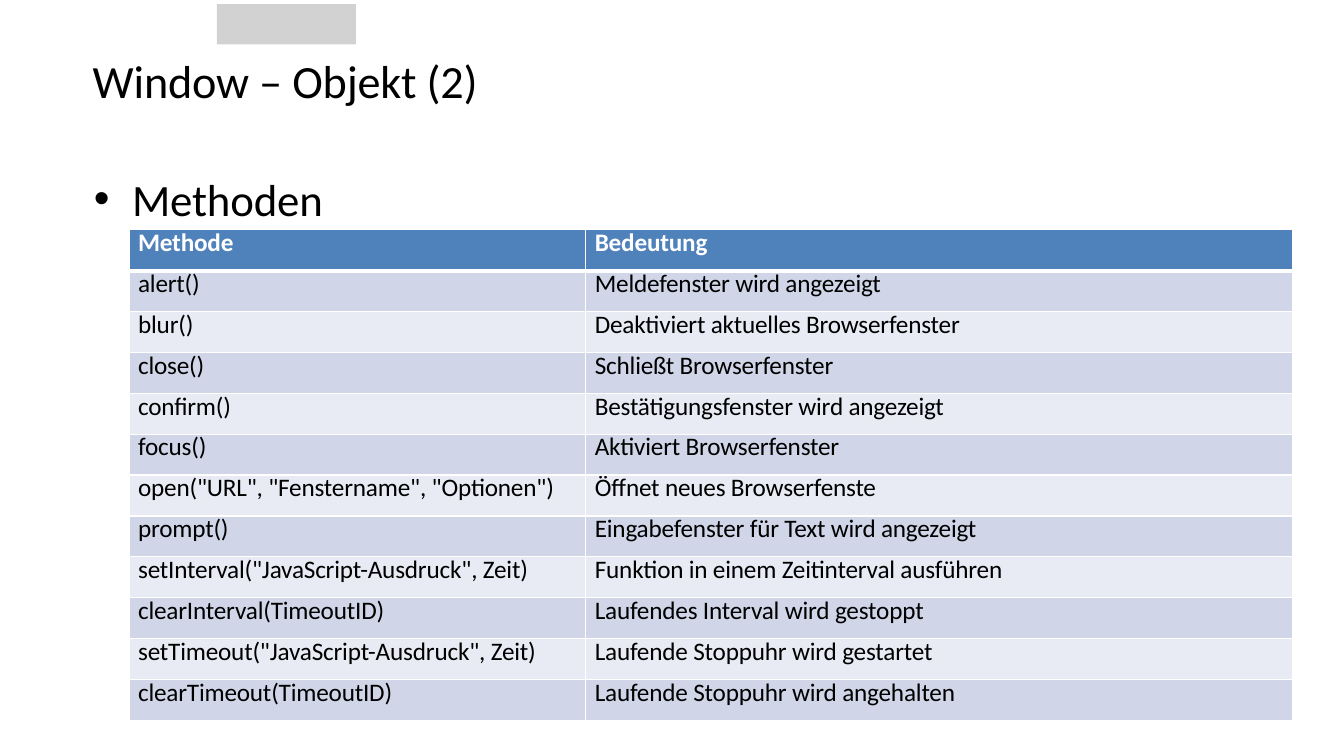
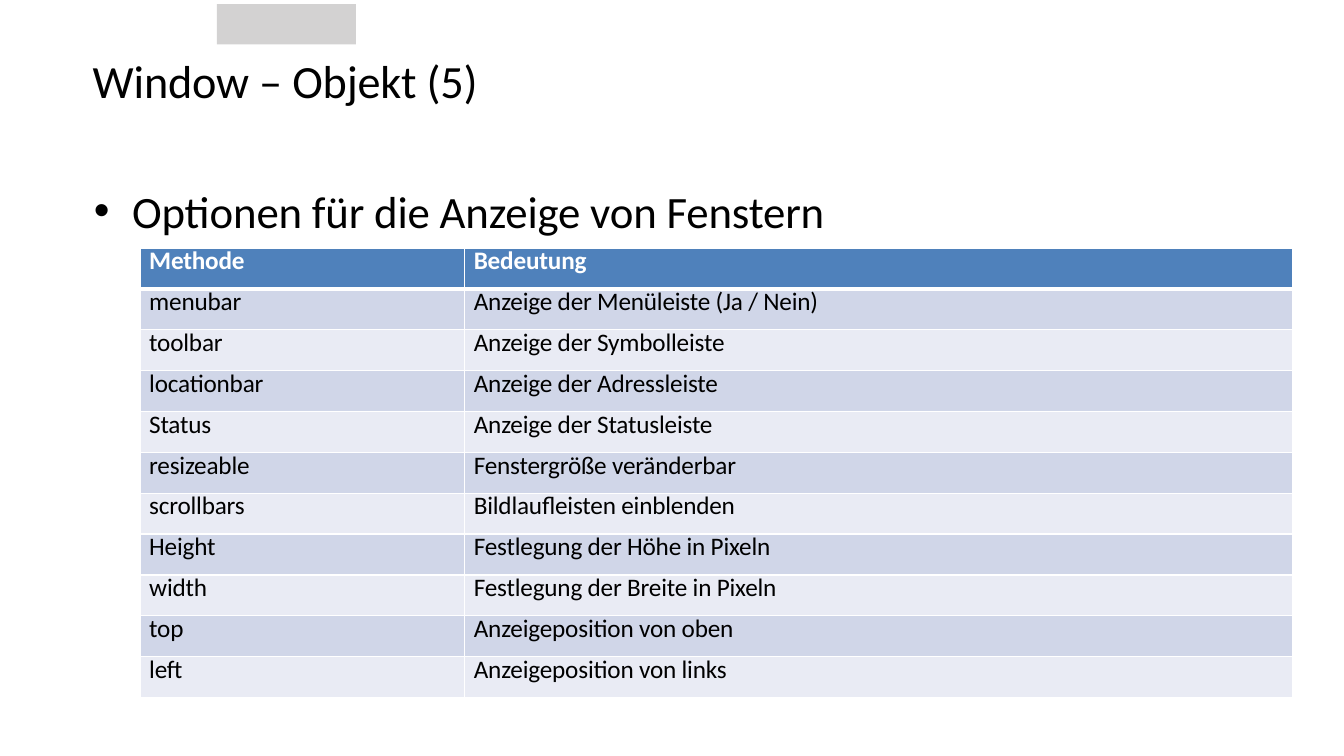
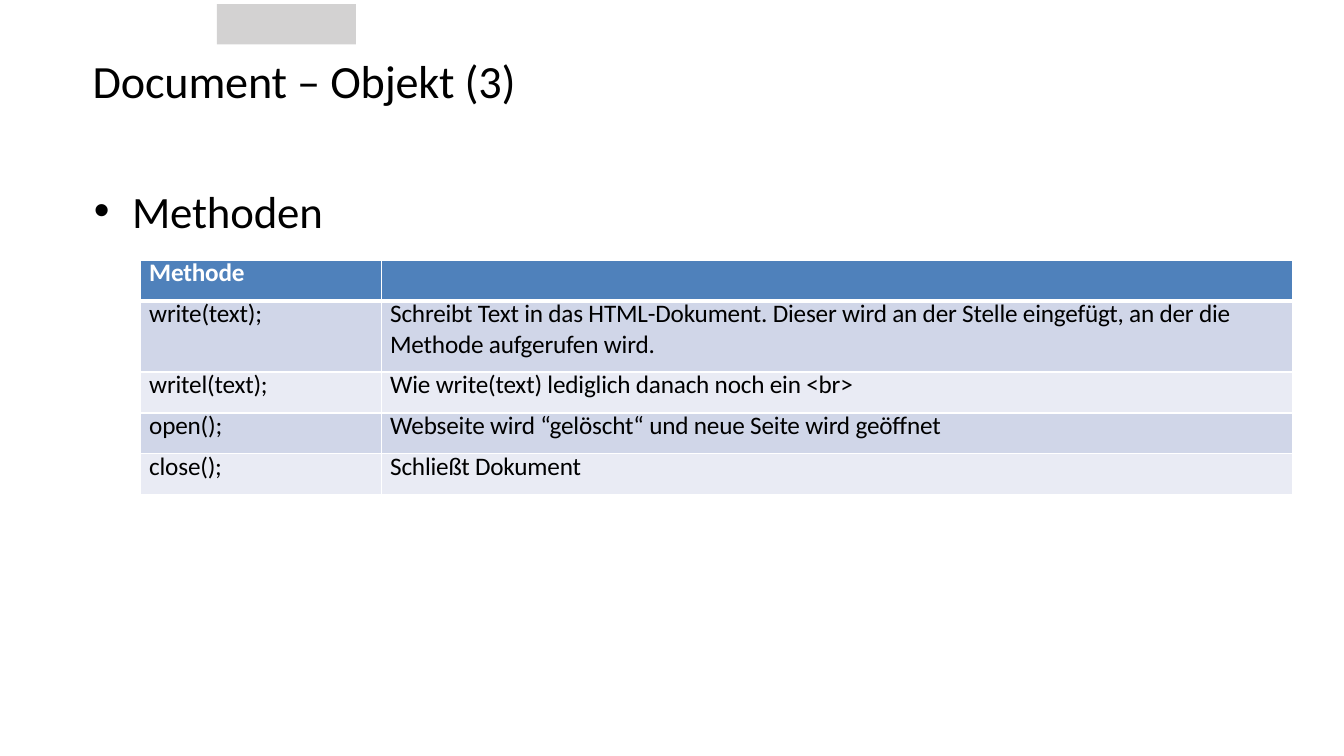
from lxml import etree
from pptx import Presentation
from pptx.dml.color import RGBColor
from pptx.enum import shapes, text
from pptx.oxml.ns import qn
from pptx.util import Inches, Pt

BLACK = RGBColor(0x00, 0x00, 0x00)
WHITE = RGBColor(0xFF, 0xFF, 0xFF)
GREY = RGBColor(0xD3, 0xD2, 0xD2)
HEADER = RGBColor(0x4F, 0x81, 0xBB)
BANDS = [RGBColor(0xD0, 0xD6, 0xE8), RGBColor(0xE9, 0xEB, 0xF4)]
FONT = "Calibri"
TRACKING = -15
LEFT = 0.92
TABLE_RIGHT = 12.82
ROW_H = Inches(4.87) // 12
EXTRA_LINE_H = Inches(0.3)

SLIDES = [
    {
        "title": ("Window – Objekt (2)", 3.86),
        "heading": ("Methoden", 1.69, 2.31),
        "table": (1.28, 2.28, 4.53),
        "rows": [
            ("Methode", "Bedeutung"),
            ("alert()", "Meldefenster wird angezeigt"),
            ("blur()", "Deaktiviert aktuelles Browserfenster"),
            ("close()", "Schließt Browserfenster"),
            ("confirm()", "Bestätigungsfenster wird angezeigt"),
            ("focus()", "Aktiviert Browserfenster"),
            ('open("URL", "Fenstername", "Optionen")', "Öffnet neues Browserfenste"),
            ("prompt()", "Eingabefenster für Text wird angezeigt"),
            ('setInterval("JavaScript-Ausdruck", Zeit)', "Funktion in einem Zeitinterval ausführen"),
            ("clearInterval(TimeoutID)", "Laufendes Interval wird gestoppt"),
            ('setTimeout("JavaScript-Ausdruck", Zeit)', "Laufende Stoppuhr wird gestartet"),
            ("clearTimeout(TimeoutID)", "Laufende Stoppuhr wird angehalten"),
        ],
    },
    {
        "title": ("Window – Objekt (5)", 3.86),
        "heading": ("Optionen für die Anzeige von Fenstern", 1.81, 7.3),
        "table": (1.39, 2.46, 3.22),
        "rows": [
            ("Methode", "Bedeutung"),
            ("menubar", "Anzeige der Menüleiste (Ja / Nein)"),
            ("toolbar", "Anzeige der Symbolleiste"),
            ("locationbar", "Anzeige der Adressleiste"),
            ("Status", "Anzeige der Statusleiste"),
            ("resizeable", "Fenstergröße veränderbar"),
            ("scrollbars", "Bildlaufleisten einblenden"),
            ("Height", "Festlegung der Höhe in Pixeln"),
            ("width", "Festlegung der Breite in Pixeln"),
            ("top", "Anzeigeposition von oben"),
            ("left", "Anzeigeposition von links"),
        ],
    },
    {
        "title": ("Document – Objekt (3)", 4.23),
        "heading": ("Methoden", 1.81, 2.31),
        "table": (1.39, 2.58, 2.39),
        "rows": [
            ("Methode", ""),
            (
                "write(text);",
                "Schreibt Text in das HTML-Dokument. Dieser wird an der Stelle eingefügt, an der die\n"
                "Methode aufgerufen wird.",
            ),
            ("writel(text);", "Wie write(text) lediglich danach noch ein <br>"),
            ("open();", "Webseite wird “gelöscht“ und neue Seite wird geöffnet"),
            ("close();", "Schließt Dokument"),
        ],
    },
]


def add_run(p, words, size, color=BLACK, bold=False):
    r = p.add_run()
    r.text = words
    r.font.name = FONT
    r.font.size = Pt(size)
    r.font.color.rgb = color
    r.font.bold = bold
    r.font._element.set("spc", str(TRACKING))


def add_text(s, words, top, width, height, size):
    sp = s.shapes.add_textbox(Inches(LEFT), Inches(top), Inches(width), Inches(height))
    tf = sp.text_frame
    tf.margin_left = tf.margin_right = tf.margin_bottom = 0
    tf.margin_top = Inches(0.01)
    tf.word_wrap = True
    tf.auto_size = text.MSO_AUTO_SIZE.SHAPE_TO_FIT_TEXT
    p = tf.paragraphs[0]
    p.space_before = Pt(1)
    add_run(p, words, size)
    return p


def add_bullet(p):
    pPr = p._p.get_or_add_pPr()
    pPr.set("marL", str(Inches(0.39)))
    pPr.set("indent", str(Inches(-0.38)))
    etree.SubElement(pPr, qn("a:buFont"), typeface="Arial")
    etree.SubElement(pPr, qn("a:buChar"), char="•")


def add_borders(cell, row):
    widths = {"lnL": 1, "lnR": 1, "lnT": 3 if row == 1 else 1, "lnB": 3 if row == 0 else 1}
    tcPr = cell._tc.get_or_add_tcPr()
    for side, width in widths.items():
        ln = etree.SubElement(tcPr, qn("a:" + side), w=str(Pt(width)))
        fill = etree.SubElement(ln, qn("a:solidFill"))
        etree.SubElement(fill, qn("a:srgbClr"), val=str(WHITE))


def fill_cell(cell, words, row):
    cell.margin_left = Inches(0.09)
    cell.margin_right = cell.margin_top = cell.margin_bottom = 0
    add_borders(cell, row)
    cell.fill.solid()
    cell.fill.fore_color.rgb = BANDS[(row - 1) % 2] if row else HEADER
    if not words:
        return
    tf = cell.text_frame
    for i, line in enumerate(words.split("\n")):
        p = tf.add_paragraph() if i else tf.paragraphs[0]
        p.line_spacing = Pt(20.4) if i == 0 else 1.0
        add_run(p, line, 18, BLACK if row else WHITE, row == 0)


def add_methods(s, rows, left, top, first_width):
    heights = [ROW_H + EXTRA_LINE_H * max(c.count("\n") for c in row) for row in rows]
    width = Inches(TABLE_RIGHT - left)
    tbl = s.shapes.add_table(len(rows), 2, Inches(left), Inches(top), width, sum(heights)).table
    tbl.first_row = tbl.horz_banding = False
    tbl.columns[0].width = Inches(first_width)
    tbl.columns[1].width = width - Inches(first_width)
    for i, row in enumerate(rows):
        tbl.rows[i].height = heights[i]
        for j, words in enumerate(row):
            fill_cell(tbl.cell(i, j), words, i)


def add_band(s):
    sp = s.shapes.add_shape(
        shapes.MSO_SHAPE.RECTANGLE, Inches(2.15), Inches(0.04), Inches(1.38), Inches(0.4)
    )
    sp.shadow.inherit = False
    sp.fill.solid()
    sp.fill.fore_color.rgb = GREY
    sp.line.fill.background()


def main():
    prs = Presentation()
    prs.slide_width, prs.slide_height = Inches(13.33), Inches(7.5)
    for content in SLIDES:
        s = prs.slides.add_slide(prs.slide_layouts[6])
        add_band(s)
        title, title_width = content["title"]
        add_text(s, title, 0.51, title_width, 0.58, 33)
        heading, top, width = content["heading"]
        add_bullet(add_text(s, heading, top, width, 0.56, 32))
        add_methods(s, content["rows"], *content["table"])
    prs.save("out.pptx")


if __name__ == "__main__":
    main()
